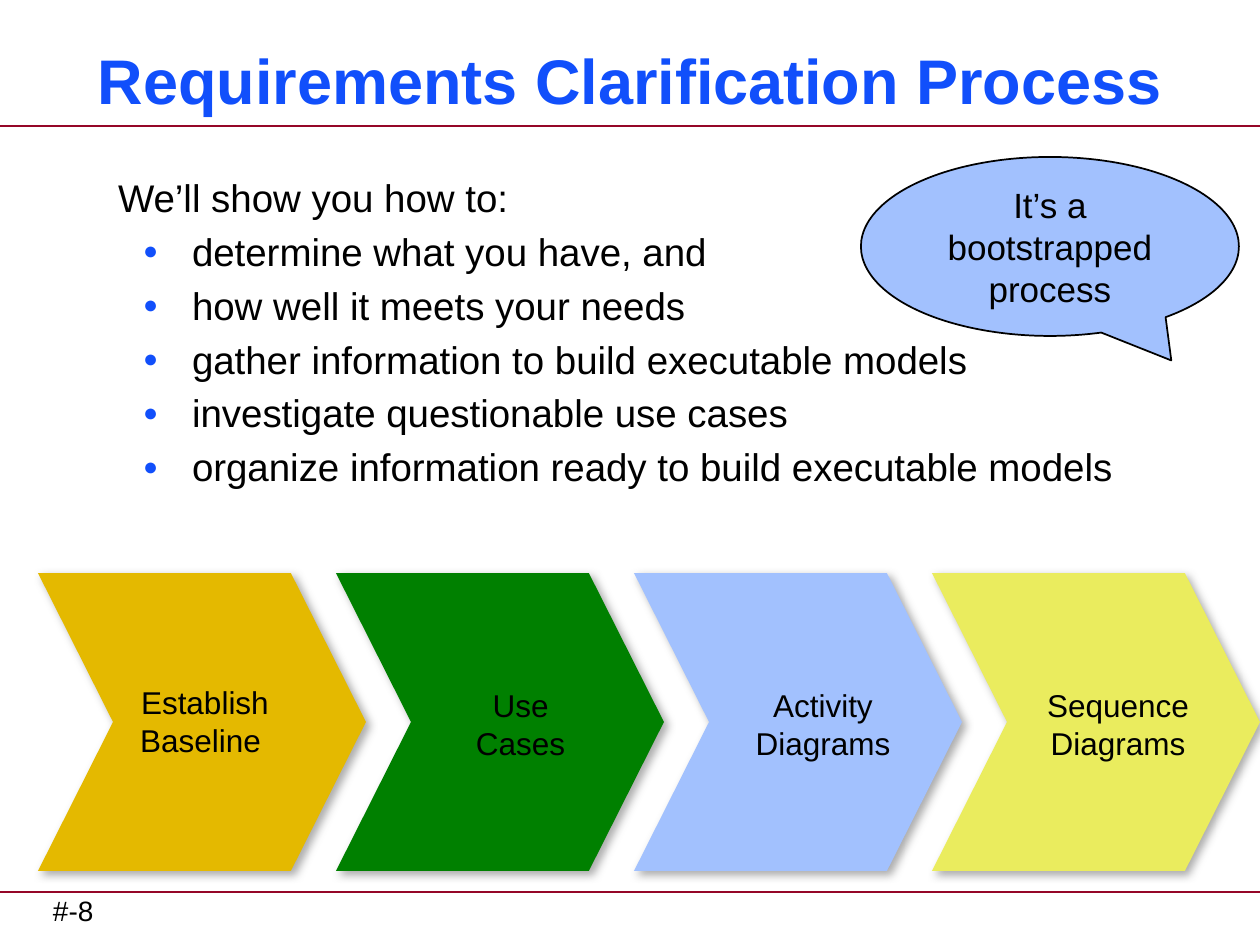
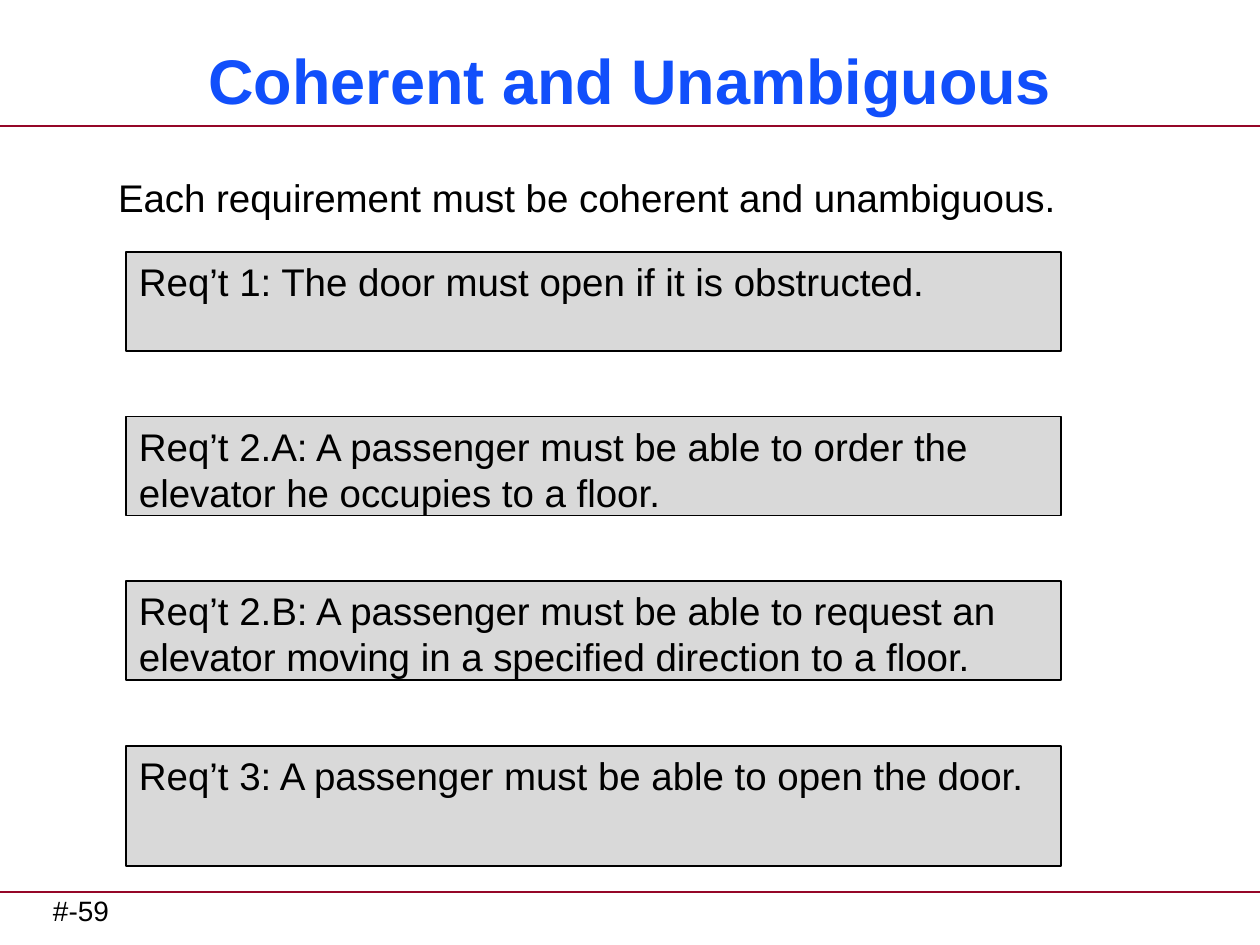
from pptx import Presentation
from pptx.dml.color import RGBColor
from pptx.enum.shapes import MSO_CONNECTOR, MSO_SHAPE
from pptx.enum.text import MSO_ANCHOR as ANCHOR, PP_ALIGN as ALIGN
from pptx.oxml import parse_xml
from pptx.oxml.ns import nsdecls
from pptx.oxml.xmlchemy import OxmlElement
from pptx.util import Emu, Pt

PX_PER_INCH = 126
WIDTH, HEIGHT = 1260, 945
FONT = "Arial"
COLORS = {
    "title": "114FFB",
    "rule": "950728",
    "text": "000000",
    "gold": "E4B900",
    "green": "008000",
    "blue": "A2C1FE",
    "yellow": "EAEC5E",
    "shadow": "919191",
}
TITLE_BOX = (21, 32, 1218, 94)
BODY_BOX = (105, 168, 1113, 703)
FOOTER_BOX = (53, 888, 609, 47)
RULE_TOPS = (126, 892)
INSETS = (13, 6, 13, 6)


def px(n):
    return Emu(round(n * 914400 / PX_PER_INCH))


def rgb(name):
    return RGBColor.from_string(COLORS[name])


def add_element(parent, tag, **attributes):
    child = OxmlElement(tag)
    for key, value in attributes.items():
        child.set(key, str(value))
    parent.append(child)
    return child


def write(sp, paragraphs, size, color="text", bold=False, align=ALIGN.LEFT,
          anchor=ANCHOR.TOP, insets=INSETS):
    tf = sp.text_frame
    tf.word_wrap = True
    tf.vertical_anchor = anchor
    tf.margin_left, tf.margin_top, tf.margin_right, tf.margin_bottom = map(px, insets)
    tf.text = "\n".join(paragraphs)
    for p in tf.paragraphs:
        p.alignment = align
        for r in p.runs:
            r.font.name = FONT
            r.font.size = Pt(size)
            r.font.bold = bold
            r.font.color.rgb = rgb(color)
    return tf


def add_text(slide, box, paragraphs, size, **style):
    return write(slide.shapes.add_textbox(*map(px, box)), paragraphs, size, **style)


def add_filled(slide, kind, box, fill, outlined=True):
    sp = slide.shapes.add_shape(kind, *map(px, box))
    sp.shadow.inherit = False
    sp.fill.solid()
    sp.fill.fore_color.rgb = rgb(fill)
    if outlined:
        sp.line.color.rgb = rgb("text")
        sp.line.width = Pt(1)
    else:
        sp.line.fill.background()
    return sp


def add_rule(slide, top):
    line = slide.shapes.add_connector(MSO_CONNECTOR.STRAIGHT, 0, px(top), px(WIDTH), px(top))
    line.line.color.rgb = rgb("rule")
    line.line.width = Pt(1.5)
    add_element(line._element.spPr, "a:effectLst")


def add_framed_slide(prs, title, number):
    """Add a slide with the shared title, rules and page number."""
    slide = prs.slides.add_slide(prs.slide_layouts[6])
    for top in RULE_TOPS:
        add_rule(slide, top)
    add_text(slide, FOOTER_BOX, [f"#-{number}"], 16, insets=(0, 6, 0, 6))
    add_text(slide, TITLE_BOX, [title], 36, color="title", bold=True,
             align=ALIGN.CENTER, anchor=ANCHOR.MIDDLE)
    return slide


def add_body(slide, box, lead, bullets=()):
    tf = add_text(slide, box, [lead, *bullets], 22)
    for p in tf.paragraphs[1:]:
        p.space_before = Pt(4.4)
        pPr = p._p.get_or_add_pPr()
        pPr.set("marL", str(px(74)))
        pPr.set("indent", str(-px(49)))
        add_element(add_element(pPr, "a:buClr"), "a:srgbClr", val=COLORS["title"])
        add_element(pPr, "a:buSzPct", val=65000)
        add_element(pPr, "a:buFont", typeface=FONT)
        add_element(pPr, "a:buChar", char="●")


def add_callout(slide, box, text):
    sp = add_filled(slide, MSO_SHAPE.OVAL_CALLOUT, box, "blue")
    sp.adjustments[0], sp.adjustments[1] = 0.321, 0.637
    write(sp, [text], 20, align=ALIGN.CENTER, anchor=ANCHOR.MIDDLE, insets=(0, 0, 0, 0))


def add_drop_shadow(sp):
    spPr = sp._element.spPr
    for old in spPr.findall("{*}effectLst"):
        spPr.remove(old)
    spPr.append(parse_xml(
        f'<a:effectLst {nsdecls("a")}>'
        f'<a:outerShdw blurRad="{Pt(5)}" dist="{Pt(3)}" dir="2700000" algn="tl" rotWithShape="0">'
        f'<a:srgbClr val="{COLORS["shadow"]}"><a:alpha val="75000"/></a:srgbClr>'
        '</a:outerShdw></a:effectLst>'))


def add_process(slide, box, steps):
    """Place the steps as a row of overlapping chevrons across the box."""
    left, top, width, height = box
    step_width = 328
    pitch = (width - step_width) / (len(steps) - 1)
    for i, (label, fill, dx, dy) in enumerate(steps):
        x = left + i * pitch
        sp = add_filled(slide, MSO_SHAPE.CHEVRON, (x, top, step_width, height), fill, outlined=False)
        sp.adjustments[0] = 0.252
        add_drop_shadow(sp)
        add_text(slide, (x + dx, top + dy, 242, 83), [label], 18,
                 align=ALIGN.CENTER, insets=(13, 6, 13, 0))


def add_requirements(slide, box, requirements):
    """Stack the requirements at an equal pitch; the last one fills the box."""
    left, top, width, height = box
    row_height, last_height = 99, 120
    last = len(requirements) - 1
    pitch = (height - last_height) / last
    for i, text in enumerate(requirements):
        h = last_height if i == last else row_height
        sp = add_filled(slide, MSO_SHAPE.RECTANGLE, (left, top + i * pitch, width, h), "text")
        fill_color = sp._element.spPr.find("{*}solidFill")[0]
        add_element(fill_color, "a:alpha", val=15000)
        write(sp, [text], 22)


def build_process_slide(prs):
    slide = add_framed_slide(prs, "Requirements Clarification Process", 8)
    add_body(slide, BODY_BOX, "We’ll show you how to:", [
        "determine what you have, and",
        "how well it meets your needs",
        "gather information to build executable models",
        "investigate questionable use cases",
        "organize information ready to build executable models",
    ])
    add_callout(slide, (861, 157, 378, 179), "It’s a bootstrapped process")
    add_process(slide, (38, 573, 1222, 298), [
        ("Establish\vBaseline ", "gold", 46, 104),
        ("Use \vCases ", "green", 68, 107),
        ("Activity Diagrams", "blue", 68, 107),
        ("Sequence Diagrams", "yellow", 65, 107),
    ])


def build_requirements_slide(prs):
    slide = add_framed_slide(prs, "Coherent and Unambiguous", 59)
    add_body(slide, BODY_BOX, "Each requirement must be coherent and unambiguous.")
    add_requirements(slide, (126, 252, 935, 614), [
        "Req’t 1: The door must open if it is obstructed.",
        "Req’t 2.A: A passenger must be able to order the elevator he occupies to a floor.",
        "Req’t 2.B: A passenger must be able to request an elevator moving in a "
        "specified direction to a floor.",
        "Req’t 3: A passenger must be able to open the door.",
    ])


def main():
    prs = Presentation()
    prs.slide_width, prs.slide_height = px(WIDTH), px(HEIGHT)
    build_process_slide(prs)
    build_requirements_slide(prs)
    prs.save("out.pptx")


if __name__ == "__main__":
    main()
